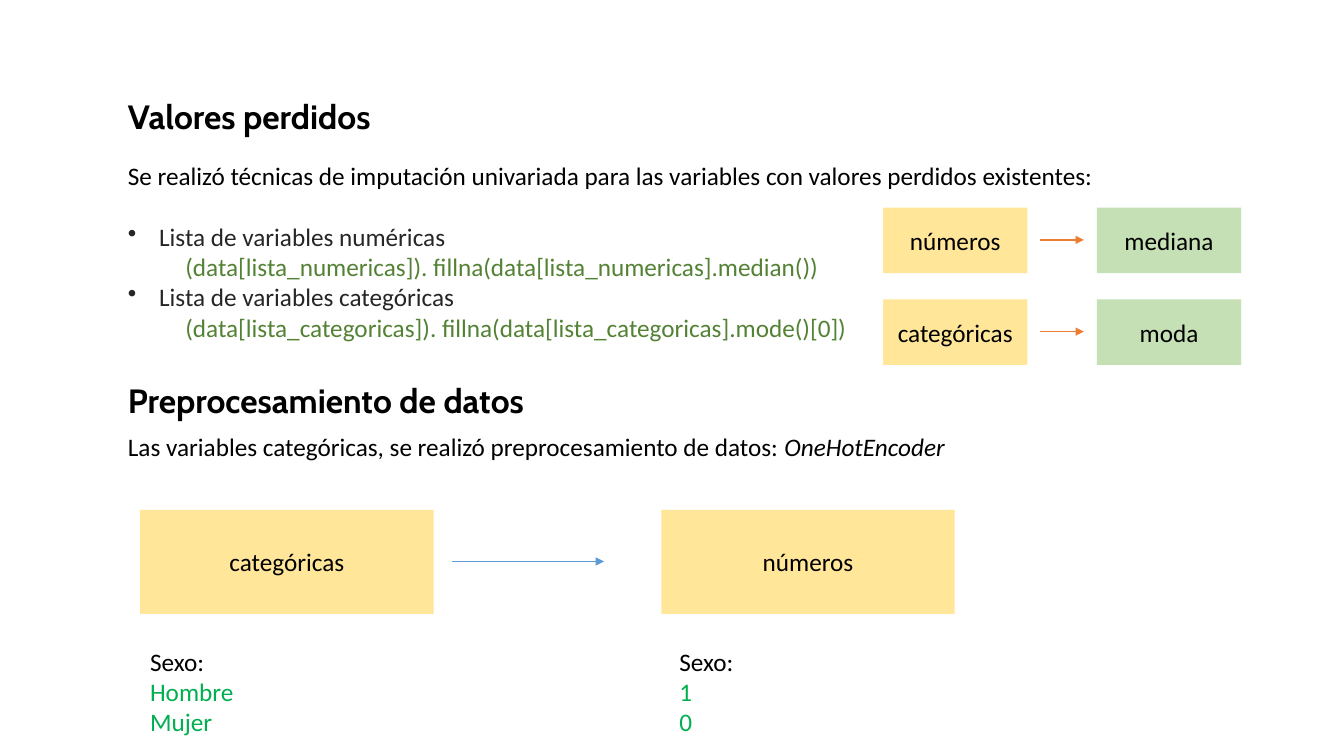
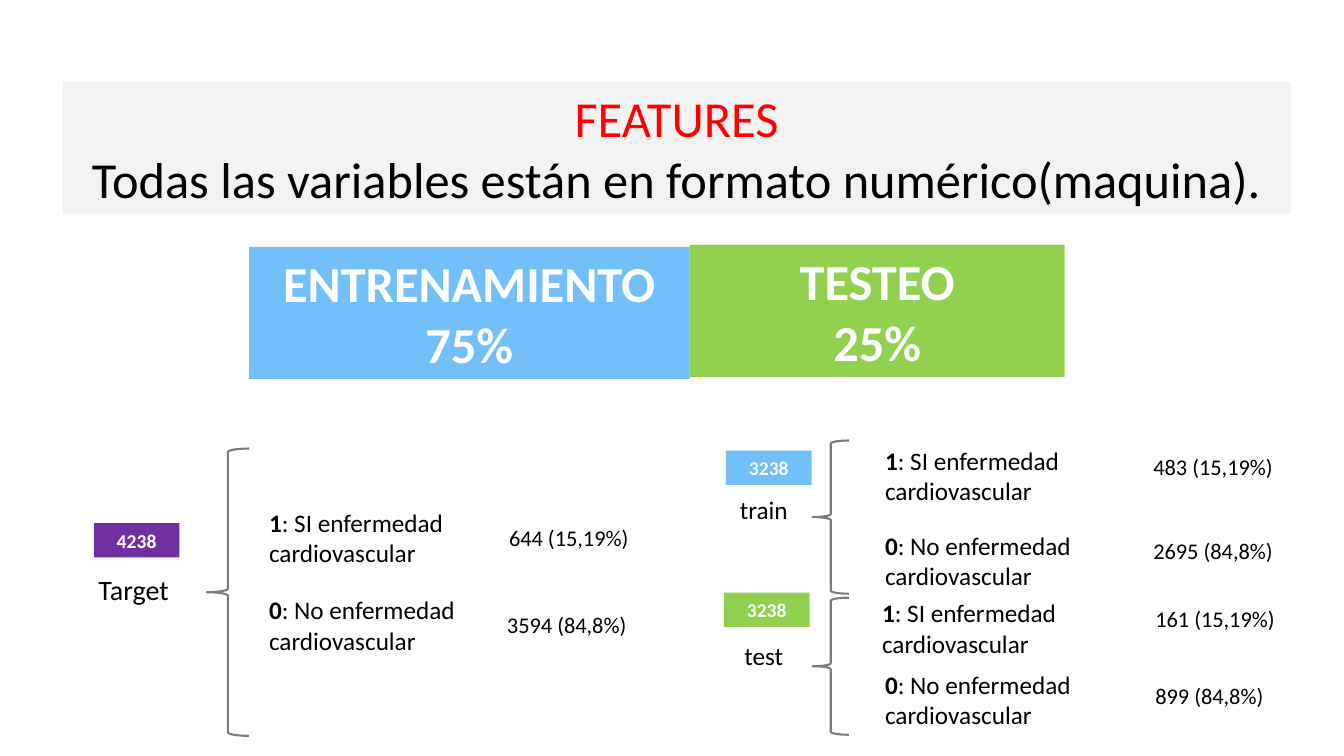
from lxml import etree
from pptx import Presentation
from pptx.dml.color import RGBColor
from pptx.enum import shapes, text
from pptx.oxml.ns import qn
from pptx.util import Inches, Pt

# Shared style
FONT, TITLE_FONT = "Calibri", "Cabin"
BLACK, WHITE, DARK, GRAY, PALE = "000000", "FFFFFF", "262626", "7C7C7C", "F2F2F2"
YELLOW, MINT, CODE, GREEN = "FFE699", "C5E0B4", "548235", "00B050"
BLUE, LIME, PURPLE, RED = "73BFF9", "92D050", "7030A0", "FF0000"
ARROW_BLUE, ARROW_ORANGE = "5B9BD5", "ED7D31"
CENTER = text.PP_ALIGN.CENTER

# Slide 1 content
HEADINGS = [("Valores perdidos", 0.9), ("Preprocesamiento de datos", 3.72)]
INTRO = ("Se realizó técnicas de imputación univariada para las variables "
         "con valores perdidos existentes:")
IMPUTATIONS = [
    ("Lista de variables numéricas",
     "(data[lista_numericas]). fillna(data[lista_numericas].median())"),
    ("Lista de variables categóricas",
     "(data[lista_categoricas]). fillna(data[lista_categoricas].mode()[0])"),
]
ENCODING = ("Las variables categóricas, se realizó preprocesamiento de datos: ", "OneHotEncoder")
REPLACEMENTS = [("números", "mediana", 1.5), ("categóricas", "moda", 0.5)]
ENCODED = [  # box left, label, example left, example lines
    (1.39, "categóricas", 1.39, ["Sexo:", "Hombre", "Mujer"]),
    (6.56, "números", 6.64, ["Sexo:", "1", "0"]),
]

# Slide 2 content
BANNERS = [  # position, colour, bold, lines with their colours
    ((6.84, 2.43, 3.72, 1.31), LIME, True, [("TESTEO", WHITE), ("25%", WHITE)]),
    ((2.47, 2.45, 4.37, 1.31), BLUE, True, [("ENTRENAMIENTO", WHITE), ("75%", WHITE)]),
    ((0.62, 0.81, 12.18, 1.31), PALE, False,
     [("FEATURES", RED), ("Todas las variables están en formato numérico(maquina).", BLACK)]),
]
CLASSES = [("1", ": SI enfermedad cardiovascular"), ("0", ": No enfermedad cardiovascular")]
GROUPS = [  # total: count, colour, place; name: text, size, place; brace; class and value places
    dict(count="4238", color=PURPLE, badge=(0.93, 5.19),
         name="Target", size=20, name_at=(0.65, 5.63), brace=(2.05, 4.45, 0.42, 2.85),
         class_at=[(2.57, 4.98), (2.57, 5.85)],
         values=[("644 (15,19%)", 4.95, 5.15), ("3594 (84,8%)", 4.93, 6.01)]),
    dict(count="3238", color=BLUE, badge=(7.2, 4.47),
         name="train", size=18, name_at=(6.9, 4.85), brace=(8.06, 4.37, 0.36, 1.52),
         class_at=[(8.68, 4.37), (8.68, 5.21)],
         values=[("483 (15,19%)", 11.34, 4.45), ("2695 (84,8%)", 11.34, 5.28)]),
    dict(count="3238", color=LIME, badge=(7.18, 5.88),
         name="test", size=18, name_at=(6.9, 6.3), brace=(8.06, 5.93, 0.36, 1.36),
         class_at=[(8.65, 5.88), (8.68, 6.59)],
         values=[("161 (15,19%)", 11.36, 5.95), ("899 (84,8%)", 11.36, 6.72)]),
]


def rgb(color):
    return RGBColor.from_string(color)


def style(font, size, color=BLACK, bold=False, name=FONT):
    font.name, font.size, font.bold = name, Pt(size), bold
    font.color.rgb = rgb(color)


def write(tf, lines, size=18, bold=False, align=None, name=FONT):
    """Write (text, colour) lines, one paragraph each."""
    tf.word_wrap = True
    for i, (line, color) in enumerate(lines):
        p = tf.add_paragraph() if i else tf.paragraphs[0]
        p.add_run().text = line
        p.alignment = align
        style(p.font, size, color, bold, name)
    return tf.paragraphs


def add_text(s, at, lines, **kw):
    tb = s.shapes.add_textbox(*map(Inches, at))
    return write(tb.text_frame, lines, **kw)


def add_box(s, at, fill, lines, **kw):
    sp = s.shapes.add_shape(shapes.MSO_SHAPE.RECTANGLE, *map(Inches, at))
    sp.shadow.inherit = False
    sp.fill.solid()
    sp.fill.fore_color.rgb = rgb(fill)
    sp.line.fill.background()
    sp.text_frame.vertical_anchor = text.MSO_ANCHOR.MIDDLE
    write(sp.text_frame, lines, align=CENTER, **kw)


def add_brace(s, at):
    sp = s.shapes.add_shape(shapes.MSO_SHAPE.LEFT_BRACE, *map(Inches, at))
    sp.shadow.inherit = False
    sp.fill.background()
    sp.line.color.rgb = rgb(GRAY)
    sp.line.width = Pt(1.5)


def add_arrow(s, x1, x2, y, color, width):
    cn = s.shapes.add_connector(shapes.MSO_CONNECTOR.STRAIGHT,
                                Inches(x1), Inches(y), Inches(x2), Inches(y))
    cn.line.color.rgb = rgb(color)
    cn.line.width = Pt(width)
    etree.SubElement(cn.line._get_or_add_ln(), qn("a:tailEnd"), type="triangle")
    etree.SubElement(cn._element.spPr, qn("a:effectLst"))


def indent(p, left, bullet=False):
    pPr = p._p.get_or_add_pPr()
    pPr.set("marL", str(Inches(left)))
    pPr.set("indent", str(-Inches(left) if bullet else 0))
    if bullet:
        mark = etree.Element(qn("a:buChar"), char="•")
        pPr.insert_element_before(mark, "a:tabLst", "a:defRPr", "a:extLst")


def missing_values_slide(s):
    for title, top in HEADINGS:
        add_text(s, (1.17, top, 5.11, 0.5), [(title, BLACK)], size=24, bold=True, name=TITLE_FONT)

    # Imputation list
    lines = [(INTRO, BLACK)]
    for label, code in IMPUTATIONS:
        lines += [(label, DARK), (code, CODE)]
    intro, *items = add_text(s, (1.17, 1.54, 12, 1.92), lines)
    intro.space_after = Pt(22)
    for i, p in enumerate(items):
        is_label = i % 2 == 0
        indent(p, 0.31 if is_label else 0.57, bullet=is_label)

    # Replacement rows
    for i, (kind, statistic, width) in enumerate(REPLACEMENTS):
        top = 2.06 + i * 0.91
        add_box(s, (8.76, top, 1.43, 0.65), YELLOW, [(kind, BLACK)])
        add_box(s, (10.88, top, 1.43, 0.65), MINT, [(statistic, BLACK)])
        add_arrow(s, 10.32, 10.75, top + 0.32, ARROW_ORANGE, width)

    # Encoding
    sentence, encoder = ENCODING
    p = add_text(s, (1.17, 4.23, 11.89, 0.4), [(sentence, BLACK)])[0]
    r = p.add_run()
    r.text, r.font.italic = encoder, True
    for left, label, example_left, (head, *rows) in ENCODED:
        add_box(s, (left, 5.06, 2.91, 1.03), YELLOW, [(label, BLACK)])
        add_text(s, (example_left, 6.36, 1.23, 1.01),
                 [(head, BLACK)] + [(row, GREEN) for row in rows])
    add_arrow(s, 4.48, 5.99, 5.57, ARROW_BLUE, 0.5)


def split_slide(s):
    for at, fill, bold, lines in BANNERS:
        add_box(s, at, fill, lines, size=36, bold=bold)

    # Class counts for the whole set and each part
    for g in GROUPS:
        add_box(s, (*g["badge"], 0.85, 0.34), g["color"], [(g["count"], WHITE)],
                size=14, bold=True)
        add_text(s, (*g["name_at"], 1.35, 0.41), [(g["name"], BLACK)],
                 size=g["size"], align=CENTER)
        add_brace(s, g["brace"])
        for (digit, meaning), at, (value, x, y) in zip(CLASSES, g["class_at"], g["values"]):
            p = add_text(s, (*at, 2.2, 0.71), [(digit, BLACK)])[0]
            p.runs[0].font.bold = True
            p.add_run().text = meaning
            add_text(s, (x, y, 1.72, 0.37), [(value, BLACK)], size=16)


def main():
    prs = Presentation()
    prs.slide_width, prs.slide_height = Inches(13.33), Inches(7.5)
    for build in (missing_values_slide, split_slide):
        build(prs.slides.add_slide(prs.slide_layouts[6]))
    prs.save("out.pptx")


if __name__ == "__main__":
    main()
